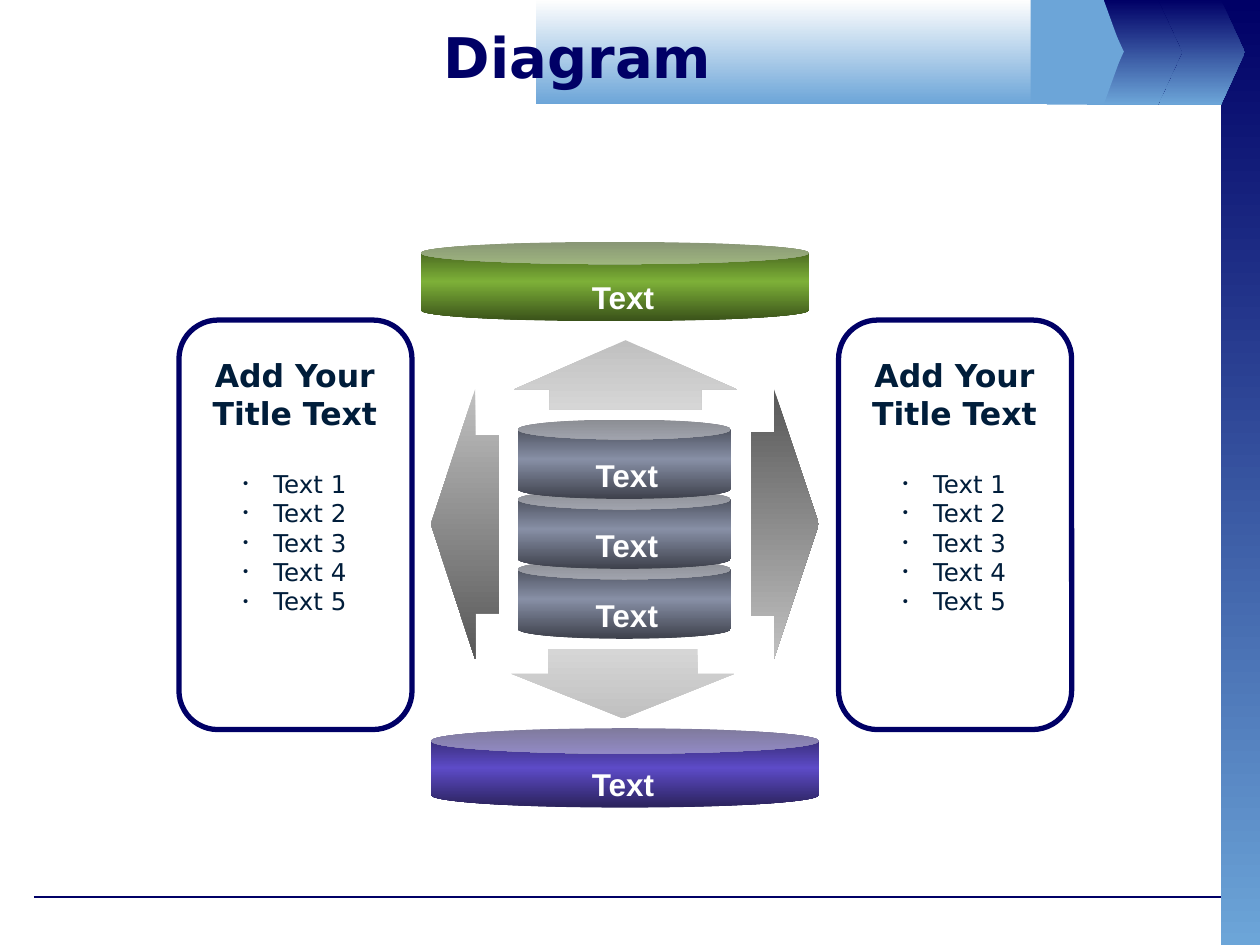
from dataclasses import dataclass

from lxml import etree
from pptx import Presentation
from pptx.dml.color import RGBColor
from pptx.enum.shapes import MSO_CONNECTOR, MSO_SHAPE
from pptx.enum.text import MSO_ANCHOR, PP_ALIGN
from pptx.oxml.ns import qn
from pptx.util import Inches, Pt

CAN, RECT, PANEL = MSO_SHAPE.CAN, MSO_SHAPE.RECTANGLE, MSO_SHAPE.ROUNDED_RECTANGLE
LEFT, RIGHT = MSO_SHAPE.LEFT_ARROW, MSO_SHAPE.RIGHT_ARROW
UP, DOWN = MSO_SHAPE.UP_ARROW, MSO_SHAPE.DOWN_ARROW
STRAIGHT = MSO_CONNECTOR.STRAIGHT
CENTER, TOP, MIDDLE = PP_ALIGN.CENTER, MSO_ANCHOR.TOP, MSO_ANCHOR.MIDDLE

COLUMNS, ROWS = 100, 75
CELL = Inches(0.1)


@dataclass(frozen=True)
class Theme:
    navy: str = "000066"
    sky: str = "6CA5D8"
    pale: str = "FEFEFE"
    ink: str = "001D3A"
    white: str = "FFFFFF"
    slate: tuple = ("3E414C", "878FA5", "3E414C")
    green: tuple = ("395119", "7DB038", "395119")
    violet: tuple = ("2A225B", "5D4BC7", "2A225B")
    shade: tuple = ("C0C0C0", "585858")
    silver: tuple = ("C0C0C0", "D6D6D6")
    font: str = "DejaVu Sans"
    label_font: str = "Arial"
    title_size: int = 32
    heading_size: int = 18
    body_size: int = 14
    rule: float = 0.75
    border: int = 3


@dataclass(frozen=True)
class Box:
    x: float
    y: float
    w: float
    h: float

    def inner(self, x, y, w, h):
        return Box(self.x + x, self.y + y, w, h)

    def emu(self):
        return [round(v * CELL) for v in (self.x, self.y, self.w, self.h)]


THEME = Theme()


def paint(sp, colors):
    sp.shadow.inherit = False
    sp.line.fill.background()
    if len(colors) == 1:
        sp.fill.solid()
        sp.fill.fore_color.rgb = RGBColor.from_string(colors[0])
        return
    sp.fill.gradient()
    sp.fill.gradient_angle = 270
    stops = sp._element.spPr.find(qn("a:gradFill")).find(qn("a:gsLst"))
    for stop in list(stops):
        stops.remove(stop)
    for i, color in enumerate(colors):
        position = str(round(100000 * i / (len(colors) - 1)))
        stop = etree.SubElement(stops, qn("a:gs"), pos=position)
        etree.SubElement(stop, qn("a:srgbClr"), val=color)


def add_preset(s, kind, box, colors, adjustments=()):
    sp = s.shapes.add_shape(kind, *box.emu())
    for i, value in enumerate(adjustments):
        sp.adjustments[i] = value
    paint(sp, colors)


def add_pentagon(s, box, point, colors):
    x, y, w, h = box.emu()
    shoulder = x + w - round(point * CELL)
    builder = s.shapes.build_freeform(x, y)
    builder.add_line_segments(
        [(shoulder, y), (x + w, y + h // 2), (shoulder, y + h), (x, y + h)], close=True)
    paint(builder.convert_to_shape(), colors)


def format_paragraph(p, font, size, color, bold):
    p.alignment = CENTER
    for r in p.runs:
        r.font.name, r.font.size, r.font.bold = font, Pt(size), bold
        r.font.color.rgb = RGBColor.from_string(color)


def add_text(s, box, text, font, size, color, anchor=TOP, wrap=True):
    tf = s.shapes.add_textbox(*box.emu()).text_frame
    tf.word_wrap, tf.vertical_anchor = wrap, anchor
    tf.text = text
    for p in tf.paragraphs:
        format_paragraph(p, font, size, color, True)
    return tf


def add_bullet(p):
    pPr = p._p.get_or_add_pPr()
    pPr.set("marL", str(Inches(0.24)))
    pPr.set("indent", str(-Inches(0.24)))
    color = etree.SubElement(pPr, qn("a:buClr"))
    etree.SubElement(color, qn("a:srgbClr"), val=THEME.ink)
    etree.SubElement(pPr, qn("a:buSzPct"), val="60000")
    etree.SubElement(pPr, qn("a:buFont"), typeface=THEME.label_font)
    etree.SubElement(pPr, qn("a:buChar"), char="•")


def frame(s, box):
    cxn = s.shapes.add_connector(
        STRAIGHT, *[round(v * CELL) for v in (2.7, 71.2, 96.9, 71.2)])
    cxn.line.color.rgb = RGBColor.from_string(THEME.navy)
    cxn.line.width = Pt(THEME.rule)
    etree.SubElement(cxn._element.spPr, qn("a:effectLst"))
    add_preset(s, RECT, box.inner(96.9, 0, 3.1, box.h), (THEME.navy, THEME.sky))


def header(s, box, title):
    for x in (91.3, 86.3):
        add_pentagon(s, box.inner(x, 0, 7.5, box.h), 1.9, (THEME.navy, THEME.sky))
    add_pentagon(s, box.inner(83.1, 0, 6, box.h), 1.5, (THEME.sky,))
    add_preset(s, RECT, box.inner(42.5, 0, 41.8, box.h), (THEME.pale, THEME.sky))
    add_pentagon(s, box.inner(81.8, 0, 7.4, 8.2), 1.9, (THEME.sky,))
    add_text(s, box.inner(5, 0.9, 81.7, 7.1), title,
             THEME.font, THEME.title_size, THEME.navy, MIDDLE)


def cylinder(s, box, colors, depth, label, shift):
    add_preset(s, CAN, box, colors, [depth])
    add_text(s, box.inner((box.w - 7.1) / 2 + shift, 2.4, 7.1, 4), label,
             THEME.label_font, THEME.heading_size, THEME.white, wrap=False)


def stack(s, box, labels):
    pitch = 5.55
    for i in reversed(range(len(labels))):
        cylinder(s, box.inner(0, i * pitch, box.w, 6.3), THEME.slate, 0.25, labels[i], 0.2)


def panel(s, box, heading, items):
    sp = s.shapes.add_shape(PANEL, *box.emu())
    sp.shadow.inherit = False
    sp.fill.background()
    sp.line.color.rgb = RGBColor.from_string(THEME.navy)
    sp.line.width = Pt(THEME.border)
    tf = add_text(s, box.inner(0.75, 2.4, 16.9, 21.7), heading,
                  THEME.font, THEME.heading_size, THEME.ink)
    for i, item in enumerate(items):
        p = tf.add_paragraph()
        p.text = item
        add_bullet(p)
        format_paragraph(p, THEME.font, THEME.body_size, THEME.ink, False)
        if i == 0:
            p.space_before = Pt(21)


def diagram(s, box):
    stack(s, box.inner(26.9, 14.1, 16.9, 17.4), ["Text"] * 3)
    items = [f"Text {n}" for n in range(1, 6)]
    for x in (0, 52.35):
        panel(s, box.inner(x, 6.2, 18.5, 32.5), "Add Your\nTitle Text", items)
    cylinder(s, box.inner(19.2, 0, 30.8, 6.3), THEME.green, 0.28, "Text", 0.65)
    cylinder(s, box.inner(20, 38.6, 30.8, 6.3), THEME.violet, 0.32, "Text", -0.15)
    arrows = [
        (LEFT, (20, 11.7, 5.4, 21.4), THEME.shade, (0.66, 0.65)),
        (RIGHT, (45.4, 11.7, 5.4, 21.4), THEME.shade[::-1], (0.68, 0.66)),
        (UP, (26.6, 7.8, 17.7, 5.5), THEME.silver, (0.68, 0.71)),
        (DOWN, (26.4, 32.3, 17.7, 5.5), THEME.silver[::-1], (0.67, 0.64)),
    ]
    for kind, place, colors, adjustments in arrows:
        add_preset(s, kind, box.inner(*place), colors, adjustments)


def main():
    prs = Presentation()
    prs.slide_width, prs.slide_height = COLUMNS * CELL, ROWS * CELL
    s = prs.slides.add_slide(prs.slide_layouts[6])
    page = Box(0, 0, COLUMNS, ROWS)
    frame(s, page)
    header(s, page.inner(0, 0, COLUMNS, 8.3), "Diagram")
    diagram(s, page.inner(14.2, 19.2, 70.8, 44.9))
    prs.save("out.pptx")


if __name__ == "__main__":
    main()
